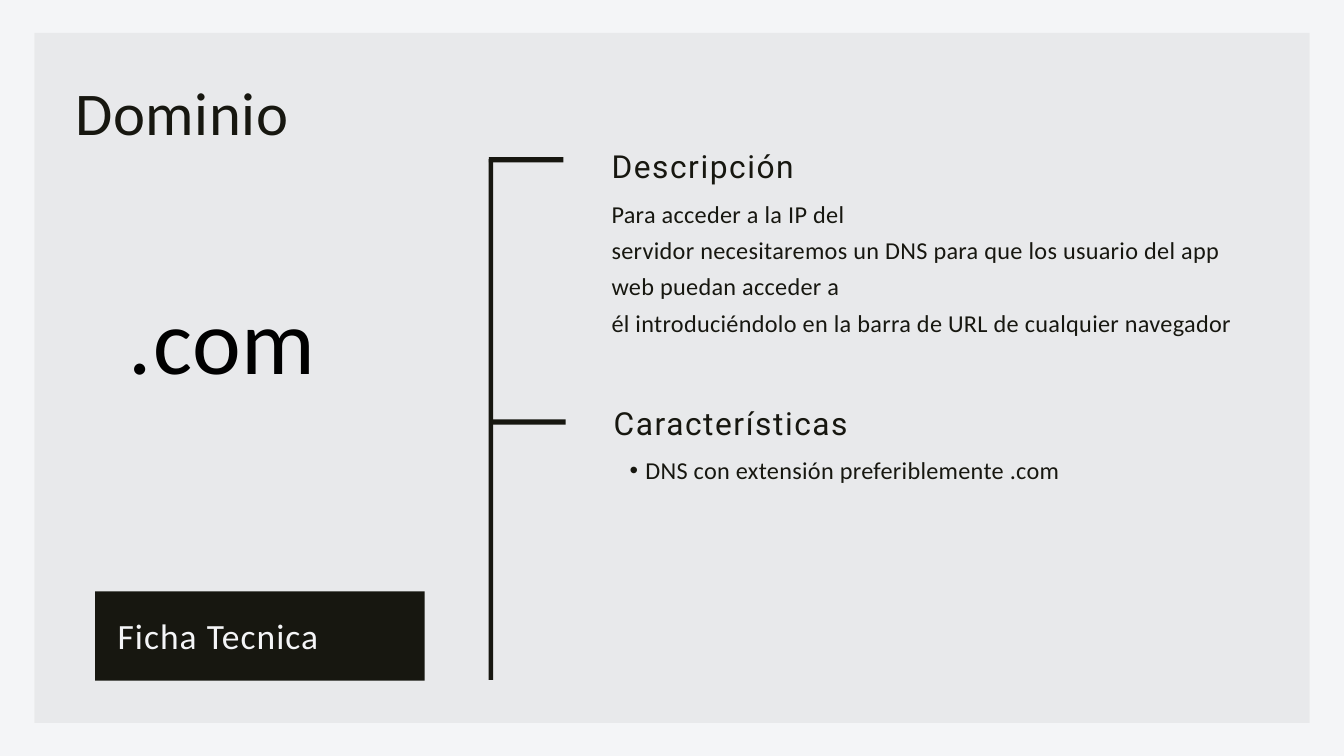
from lxml.etree import SubElement as Sub
from pptx import Presentation as Deck
from pptx.dml.color import RGBColor as Rgb
from pptx.enum.shapes import MSO_SHAPE as Kind
from pptx.enum.text import MSO_ANCHOR as Anchor, MSO_AUTO_SIZE as Fit, PP_ALIGN as Align
from pptx.oxml.ns import qn
from pptx.util import Pt

HUES = {"ink": "171710", "pale": "F4F5F7", "black": "000000"}
TYPES = {
    "title": dict(size=65, lead=78, name="Calibri", hue="ink", track=0.7),
    "label": dict(size=38, lead=45.6, name="Calibri", hue="pale", track=1.1),
    "head": dict(size=34, lead=51, name="Roboto", hue="ink", track=1.7),
    "body": dict(size=26, lead=39, name="Calibri", hue="ink", track=0.3),
    "hero": dict(size=98.9, lead=118.7, name="Calibri", hue="black", track=1),
}
FRAME = dict(margin_left=0, margin_top=0, margin_right=0, margin_bottom=0,
             word_wrap=True, auto_size=Fit.NONE, vertical_anchor=Anchor.TOP)


def apply(item, vals):
    for key, val in vals.items():
        setattr(item, key, val)


class Page:
    def __init__(self, deck):
        self.slide = deck.slides.add_slide(deck.slide_layouts[5])
        self.shapes = self.slide.shapes
        fill = self.slide.background.fill
        fill.solid()
        fill.fore_color.rgb = Rgb.from_string(HUES["pale"])

    def block(self, x, y, w, h, alpha=None):
        box = self.shapes.add_shape(Kind.RECTANGLE, Pt(x), Pt(y), Pt(w), Pt(h))
        box.shadow.inherit = False
        box.line.fill.background()
        box.fill.solid()
        box.fill.fore_color.rgb = Rgb.from_string(HUES["ink"])
        if alpha:
            tone = box._element.spPr.find(".//" + qn("a:srgbClr"))
            Sub(tone, qn("a:alpha"), val=str(alpha * 1000))

    def title(self, x, y, w, h, line):
        box = self.shapes.title
        apply(box, dict(left=Pt(x), top=Pt(y), width=Pt(w), height=Pt(h)))
        self.shapes._spTree.append(box._element)
        self.fill(box.text_frame, "title", [line])

    def text(self, x, y, w, h, style, lines, dot=False):
        box = self.shapes.add_textbox(Pt(x), Pt(y), Pt(w), Pt(h))
        self.fill(box.text_frame, style, lines, dot)

    def fill(self, frame, style, lines, dot=False):
        look = TYPES[style]
        apply(frame, FRAME)
        for i, line in enumerate(lines):
            para = frame.add_paragraph() if i else frame.paragraphs[0]
            if dot:
                self.bullet(para)
            apply(para, dict(alignment=Align.LEFT, line_spacing=Pt(look["lead"]),
                             space_before=Pt(0), space_after=Pt(0)))
            run = para.add_run()
            run.text = line
            apply(run.font, dict(size=Pt(look["size"]), name=look["name"], bold=False))
            run.font.color.rgb = Rgb.from_string(HUES[look["hue"]])
            run._r.get_or_add_rPr().set("spc", str(round(look["track"] * 100)))

    def bullet(self, para):
        props = para._p.get_or_add_pPr()
        props.set("marL", str(Pt(34)))
        props.set("indent", str(Pt(-17)))
        Sub(props, qn("a:buFont"), typeface="Arial")
        Sub(props, qn("a:buChar"), char="•")

    def branch(self, x, y, bar, head, lines, high, dot=False):
        self.block(x, y + bar, 80, 5.6)
        self.text(x + 131.5, y, 674, 47, "head", [head])
        self.text(x + 131.5, y + 58.3, 674, high, "body", lines, dot)


def main():
    deck = Deck()
    apply(deck, dict(slide_width=Pt(1440), slide_height=Pt(810)))
    page = Page(deck)
    page.block(36.7, 35.3, 1366.6, 739.4, alpha=5)
    page.title(80.6, 80, 353, 78.5, "Dominio")
    page.block(102, 633.6, 353, 95.8)
    page.text(126, 658, 304.6, 45.4, "label", ["Ficha Tecnica"])
    page.block(523.5, 170.6, 5, 558)
    page.branch(523.7, 147, 21.5, "Descripción", [
        "Para acceder a la IP del",
        "servidor necesitaremos un DNS para que los usuario del app web puedan acceder a",
        "él introduciéndolo en la barra de URL de cualquier navegador",
    ], 192)
    page.branch(526, 422, 27.3, "Características",
                ["DNS con extensión preferiblemente .com"], 36, dot=True)
    page.text(138.2, 302.4, 263, 119.5, "hero", [".com"])
    deck.save("out.pptx")


if __name__ == "__main__":
    main()
